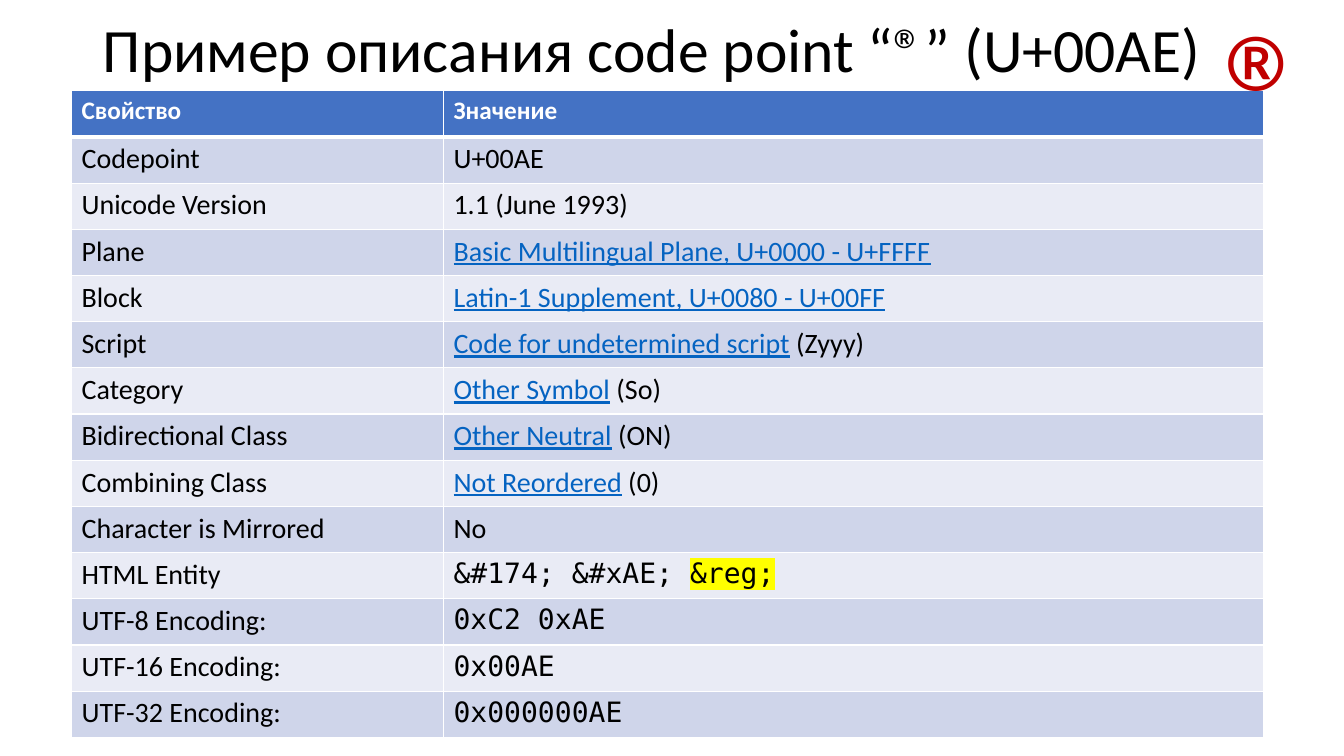
"""Build a slide with a table describing the code point U+00AE."""
from typing import NamedTuple

from lxml.etree import SubElement
from pptx import Presentation
from pptx.dml.color import RGBColor
from pptx.enum.text import MSO_ANCHOR, MSO_AUTO_SIZE, PP_ALIGN
from pptx.oxml.ns import qn
from pptx.util import Emu, Inches, Pt

WIDTH, HEIGHT = Inches(13.33), Inches(7.5)
GRID_COLS, GRID_ROWS = 96, 54
COLORS = {
    "ink": "000000", "paper": "FFFFFF", "header": "4472C4", "odd": "CFD5EA",
    "even": "E9EBF5", "link": "0563C1", "mark": "C00000", "highlight": "FFFF00",
}
SANS, MONO = "Calibri", "DejaVu Sans Mono"
TABLE_COLS = (26.57, 58.61)
TABLE_ROW = 3.3


class Box(NamedTuple):
    col: float
    row: float
    cols: float
    rows: float


class Property(NamedTuple):
    name: str
    value: str = ""
    link: str = ""
    font: str = SANS
    marked: str = ""


PROPERTIES = (
    Property("Codepoint", "U+00AE"),
    Property("Unicode Version", "1.1 (June 1993)"),
    Property("Plane", link="Basic Multilingual Plane, U+0000 - U+FFFF"),
    Property("Block", link="Latin-1 Supplement, U+0080 - U+00FF"),
    Property("Script", " (Zyyy)", "Code for undetermined script"),
    Property("Category", " (So)", "Other Symbol"),
    Property("Bidirectional Class", " (ON)", "Other Neutral"),
    Property("Combining Class", " (0)", "Not Reordered"),
    Property("Character is Mirrored", "No"),
    Property("HTML Entity", "&#174; &#xAE; ", font=MONO, marked="&reg;"),
    Property("UTF-8 Encoding:", "0xC2 0xAE", font=MONO),
    Property("UTF-16 Encoding:", "0x00AE", font=MONO),
    Property("UTF-32 Encoding:", "0x000000AE", font=MONO),
)
TITLE_BOX = Box(6.62, 0.94, 82.8, 5.62)
TABLE_BOX = Box(5.11, 6.48, sum(TABLE_COLS), TABLE_ROW * (len(PROPERTIES) + 1))
MARK_BOX = Box(86.7, 1.3, 8.64, 14.18)


def across(cols: float) -> Emu:
    return Emu(round(WIDTH * cols / GRID_COLS))


def down(rows: float) -> Emu:
    return Emu(round(HEIGHT * rows / GRID_ROWS))


def place(box: Box) -> tuple[Emu, Emu, Emu, Emu]:
    return across(box.col), down(box.row), across(box.cols), down(box.rows)


def rgb(color: str) -> RGBColor:
    return RGBColor.from_string(COLORS[color])


def style(p, size: float, color: str = "ink", name: str = SANS, bold: bool = False) -> None:
    p.font.size, p.font.name, p.font.bold = Pt(size), name, bold
    p.font.color.rgb = rgb(color)


def add_run(p, text: str):
    r = p.add_run()
    r.text = text
    return r


def add_link(p, text: str) -> None:
    r = add_run(p, text)
    r.font.color.rgb = rgb("link")
    r.font.underline = True


def add_marked(p, text: str) -> None:
    rpr = add_run(p, text).font._element
    highlight = SubElement(rpr, qn("a:highlight"))
    SubElement(highlight, qn("a:srgbClr"), val=COLORS["highlight"])


def format_cell(cell, fill: str, top: float = 1, bottom: float = 1) -> None:
    cell.fill.solid()
    cell.fill.fore_color.rgb = rgb(fill)
    tcpr = cell._tc.get_or_add_tcPr()
    borders = (("a:lnL", 1), ("a:lnR", 1), ("a:lnT", top), ("a:lnB", bottom))
    for index, (tag, width) in enumerate(borders):
        ln = SubElement(tcpr, qn(tag), w=str(Pt(width)))
        SubElement(SubElement(ln, qn("a:solidFill")), qn("a:srgbClr"), val=COLORS["paper"])
        tcpr.insert(index, ln)


def add_title(slide) -> None:
    sp = slide.shapes.title
    sp.left, sp.top, sp.width, sp.height = place(TITLE_BOX)
    tf = sp.text_frame
    tf.text = "Пример описания code point “®” (U+00AE)"
    tf.vertical_anchor, tf.auto_size = MSO_ANCHOR.MIDDLE, MSO_AUTO_SIZE.NONE
    p = tf.paragraphs[0]
    p.alignment, p.line_spacing = PP_ALIGN.LEFT, 0.9
    style(p, 44)


def add_properties(slide) -> None:
    table = slide.shapes.add_table(len(PROPERTIES) + 1, 2, *place(TABLE_BOX)).table
    for column, cols in zip(table.columns, TABLE_COLS):
        column.width = across(cols)
    for row in table.rows:
        row.height = down(TABLE_ROW)
    for cell, text in zip(table.rows[0].cells, ("Свойство", "Значение")):
        format_cell(cell, "header", bottom=3)
        cell.text = text
        style(cell.text_frame.paragraphs[0], 18, "paper", bold=True)
    for number, item in enumerate(PROPERTIES, 1):
        name_cell, value_cell = table.rows[number].cells
        for cell in (name_cell, value_cell):
            format_cell(cell, "odd" if number % 2 else "even", top=3 if number == 1 else 1)
        name_cell.text = item.name
        style(name_cell.text_frame.paragraphs[0], 20)
        p = value_cell.text_frame.paragraphs[0]
        style(p, 20, name=item.font)
        if item.link:
            add_link(p, item.link)
        if item.value:
            add_run(p, item.value)
        if item.marked:
            add_marked(p, item.marked)


def add_mark(slide) -> None:
    tf = slide.shapes.add_textbox(*place(MARK_BOX)).text_frame
    tf.word_wrap = True
    tf.text = "®"
    p = tf.paragraphs[0]
    p.line_spacing, p.space_before = 0.8, Pt(10)
    style(p, 127.7, "mark")


def main() -> None:
    prs = Presentation()
    prs.slide_width, prs.slide_height = WIDTH, HEIGHT
    slide = prs.slides.add_slide(prs.slide_layouts[5])
    add_title(slide)
    add_properties(slide)
    add_mark(slide)
    prs.save("out.pptx")


if __name__ == "__main__":
    main()
